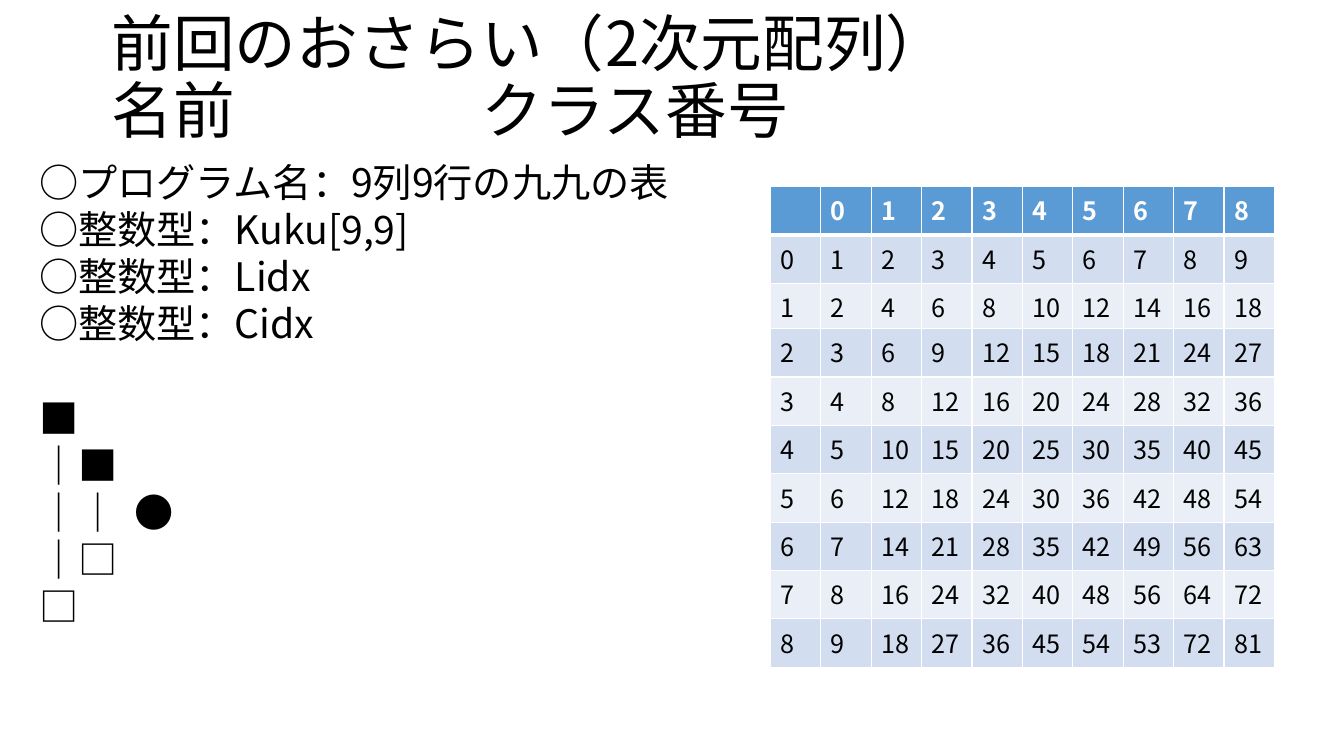
from lxml import etree
from pptx import Presentation, util as u
from pptx.dml.color import RGBColor
from pptx.enum import text
from pptx.oxml import ns

FONT = "Noto Sans CJK JP"
COLORS = {"ink": "000000", "white": "FFFFFF", "head": "5B9BD5",
          "dark": "D2DEEF", "light": "EAEFF7"}


def write(para, words, size, color="ink", bold=False, line=None, before=0, tab=None):
    para.text = words
    para.space_before = u.Pt(before)
    if line:
        para.line_spacing = line
    if tab:
        stops = etree.SubElement(para._p.get_or_add_pPr(), ns.qn("a:tabLst"))
        etree.SubElement(stops, ns.qn("a:tab"), pos=str(u.Inches(tab)), algn="l")
    for run in para.runs:
        run.font.size = u.Pt(size)
        run.font.bold = bold
        run.font.name = FONT
        run.font.color.rgb = RGBColor.from_string(COLORS[color])
        etree.SubElement(run._r.get_or_add_rPr(), ns.qn("a:ea"), typeface=FONT)


def edge(cell, side, width):
    props = cell._tc.get_or_add_tcPr()
    line = etree.SubElement(props, ns.qn("a:ln" + side), w=str(u.Pt(width)))
    fill = etree.SubElement(line, ns.qn("a:solidFill"))
    etree.SubElement(fill, ns.qn("a:srgbClr"), val=COLORS["white"])


deck = Presentation()
deck.slide_width, deck.slide_height = u.Inches(13.33), u.Inches(7.5)
slide = deck.slides.add_slide(deck.slide_layouts[6])

title = slide.shapes.add_textbox(u.Inches(1.01), u.Inches(0.07),
                                 u.Inches(11.5), u.Inches(1.45)).text_frame
title.word_wrap = True
title.vertical_anchor = text.MSO_ANCHOR.MIDDLE
write(title.paragraphs[0], "前回のおさらい（2次元配列）\v名前\tクラス番号",
      44, line=0.9, tab=3.67)

code = slide.shapes.add_textbox(u.Inches(0.29), u.Inches(1.52),
                                u.Inches(6.94), u.Inches(5.28)).text_frame
code.word_wrap = True
vars = ["○プログラム名：9列9行の九九の表", "○整数型：Kuku[9,9]",
        "○整数型：Lidx", "○整数型：Cidx"]
loops = ["■", "｜■", "｜｜\t●", "｜□", "□"]
for i, words in enumerate(vars + loops):
    para = code.add_paragraph() if i else code.paragraphs[0]
    write(para, words, 28, before=34 if i == len(vars) else 0,
          tab=0.95 if "\t" in words else None)

kuku = [[""] + list(range(9))]
kuku += [[row] + [(row + 1) * (col + 1) for col in range(9)] for row in range(9)]
kuku[9][7] = 53

grid = slide.shapes.add_table(10, 10, u.Inches(7.64), u.Inches(1.85),
                              u.Inches(5), u.Inches(4.79)).table
for col in grid.columns:
    col.width = u.Inches(0.5)
for r, row in enumerate(kuku):
    grid.rows[r].height = u.Inches(0.45 if r == 2 else 0.48)
    tone = "head" if r == 0 else "dark" if r % 2 else "light"
    for c, value in enumerate(row):
        cell = grid.cell(r, c)
        for side in "LRTB":
            heavy = (r, side) in [(0, "B"), (1, "T")]
            edge(cell, side, 3 if heavy else 1)
        cell.fill.solid()
        cell.fill.fore_color.rgb = RGBColor.from_string(COLORS[tone])
        write(cell.text_frame.paragraphs[0], str(value), 18,
              color="ink" if r else "white", bold=r == 0)

deck.save("out.pptx")
